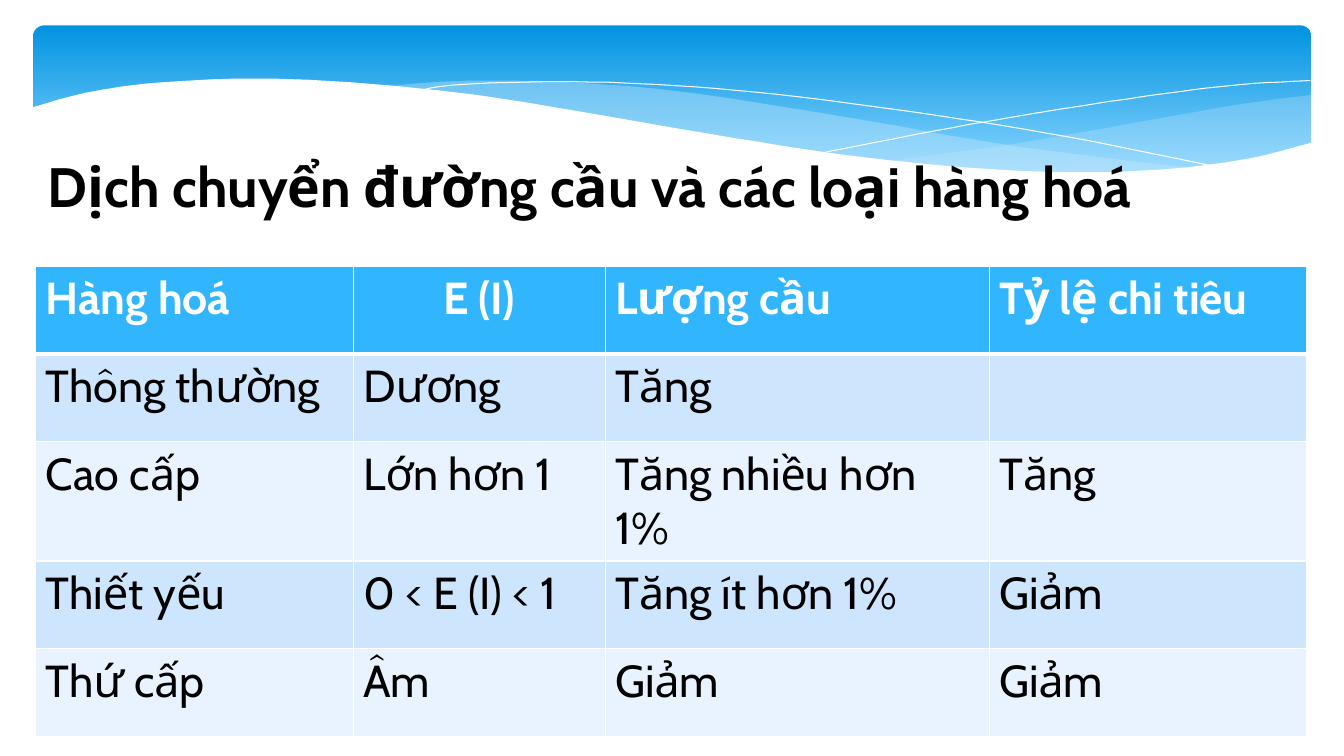
from dataclasses import dataclass

from lxml import etree
from pptx import Presentation
from pptx.dml.color import RGBColor
from pptx.enum.shapes import MSO_SHAPE
from pptx.enum.text import MSO_ANCHOR, MSO_AUTO_SIZE, PP_ALIGN
from pptx.oxml.ns import qn
from pptx.util import Cm, Pt

CENTER, LEFT, TOP = PP_ALIGN.CENTER, PP_ALIGN.LEFT, MSO_ANCHOR.TOP
NO_AUTOFIT = MSO_AUTO_SIZE.NONE
ROUNDED = MSO_SHAPE.ROUNDED_RECTANGLE
FONT = "Cabin"
WHITE, BLACK = "FFFFFF", "000000"
HEADER_FILL = "31B6FD"
BAND_FILLS = ("E8F3FF", "CEE5FE")
STEPS = 6

Point = tuple[float, float]


@dataclass(frozen=True)
class Wave:
    """Smooth edges in cm, joined by straight lines; a wave without fill is a line."""
    edges: tuple[tuple[Point, ...], ...]
    fill: str | None = None
    opacity: int = 100


WAVES = (
    Wave((((33.05, 2.39), (31.17, 2.64), (29.13, 3), (25.53, 3.63), (22.4, 4.06)),
          ((22.4, 4.06), (24.33, 4.24), (26.44, 4.37), (28.6, 4.34), (30.66, 4.14),
           (32.16, 3.86), (33.05, 3.61))), "C6E7FC", 29),
    Wave((((9.7, 2.18), (11.1, 2.06), (12.85, 2.03), (14.96, 2.11), (17.42, 2.34),
           (21.31, 2.95), (25.12, 3.61), (28.35, 4.04), (30.23, 4.24)),
          ((30.23, 4.24), (28.73, 4.37), (26.95, 4.39), (24.92, 4.29), (22.53, 4.09),
           (19.18, 3.63), (15.21, 2.95), (12.27, 2.46), (9.7, 2.18))), "C6E7FC", 40),
    Wave((((10.46, 2.29), (11.63, 2.13), (14.1, 2.06), (16.56, 2.13), (19.69, 2.39),
           (23.55, 2.9), (26.92, 3.45), (30.73, 4.22)),)),
    Wave((((20.78, 3.84), (23.55, 3.3), (26.29, 2.82), (29.34, 2.36), (31.29, 2.13),
           (33.02, 2.03)),)),
    Wave((((33.1, 3.58), (31.5, 3.99), (29.64, 4.24), (27.38, 4.34), (24.61, 4.24),
           (21.18, 3.89), (17.93, 3.38), (15.14, 2.9), (12.34, 2.44), (9.91, 2.16),
           (7.77, 2.01), (5.97, 1.98), (4.01, 2.08), (2.57, 2.26), (1.55, 2.49),
           (0.79, 2.72)),
          ((0.79, 5.69), (33.1, 5.69))), WHITE),
)

GOODS = (
    ("Hàng hoá", "E (I)", "Lượng cầu", "Tỷ lệ chi tiêu"),
    ("Thông thường", "Dương", "Tăng", ""),
    ("Cao cấp", "Lớn hơn 1", "Tăng nhiều hơn 1%", "Tăng"),
    ("Thiết yếu", "0 < E (I) < 1", "Tăng ít hơn 1%", "Giảm"),
    ("Thứ cấp", "Âm", "Giảm", "Giảm"),
)
COLUMN_WIDTHS = (8, 6.35, 9.68, 8)
ROW_HEIGHT = 2.21


def color(hex_code: str) -> RGBColor:
    return RGBColor.from_string(hex_code)


def format_text(paragraph, size: float, hex_code: str, bold: bool, align) -> None:
    paragraph.alignment = align
    for run in paragraph.runs:
        run.font.name, run.font.size, run.font.bold = FONT, Pt(size), bold
        run.font.color.rgb = color(hex_code)


def smooth(points: tuple[Point, ...]) -> list[Point]:
    """Sample a Catmull-Rom curve through the points."""
    padded = (points[0], *points, points[-1])
    curve = [points[0]]
    for a, b, c, d in zip(padded, padded[1:], padded[2:], padded[3:]):
        for step in range(1, STEPS + 1):
            t = step / STEPS
            x, y = (
                (2 * q + (r - p) * t + (2 * p - 5 * q + 4 * r - s) * t ** 2
                 + (3 * q - p - 3 * r + s) * t ** 3) / 2
                for p, q, r, s in zip(a, b, c, d)
            )
            curve.append((x, y))
    return curve


def draw_wave(shapes, wave: Wave) -> None:
    outline = [(x * 100, y * 100) for edge in wave.edges for x, y in smooth(edge)]
    builder = shapes.build_freeform(*outline[0], scale=Cm(0.01))
    builder.add_line_segments(outline[1:], close=wave.fill is not None)
    shape = builder.convert_to_shape()
    shape.shadow.inherit = False
    if wave.fill is None:
        shape.fill.background()
        shape.line.color.rgb = color(WHITE)
        shape.line.width = Pt(0)
        return
    shape.line.fill.background()
    shape.fill.solid()
    shape.fill.fore_color.rgb = color(wave.fill)
    if wave.opacity < 100:
        tint = shape.fill._xPr.find(f"{qn('a:solidFill')}/{qn('a:srgbClr')}")
        etree.SubElement(tint, qn("a:alpha"), val=str(wave.opacity * 1000))


def draw_banner(shapes) -> None:
    banner = shapes.add_shape(ROUNDED, Cm(0.84), Cm(0.64), Cm(32.21), Cm(3.96))
    banner.adjustments[0] = 0.07
    banner.shadow.inherit = False
    banner.line.fill.background()
    banner.fill.gradient()
    banner.fill.gradient_angle = 270
    stops = ((0, "0293E0"), (0.9, "83D3FE"))
    for stop, (position, hex_code) in zip(banner.fill.gradient_stops, stops):
        stop.position = position
        stop.color.rgb = color(hex_code)
    for wave in WAVES:
        draw_wave(shapes, wave)


def write_title(shapes) -> None:
    title = shapes.title
    title.left, title.top, title.width, title.height = (
        Cm(0.94), Cm(3.71), Cm(27.84), Cm(3.48))
    frame = title.text_frame
    frame.text = "Dịch chuyển đường cầu và các loại hàng hoá"
    frame.word_wrap = True
    frame.auto_size = NO_AUTOFIT
    frame.vertical_anchor = TOP
    format_text(frame.paragraphs[0], 39.6, BLACK, True, CENTER)
    # The title has to lie above the white wave.
    shapes._spTree.append(title._element)


def add_borders(cell, row: int) -> None:
    """White cell borders, thicker between header and body."""
    widths = {"L": 1, "R": 1, "T": 3 if row == 1 else 1, "B": 3 if row == 0 else 1}
    properties = cell._tc.get_or_add_tcPr()
    for side, width in widths.items():
        border = etree.SubElement(properties, qn(f"a:ln{side}"), w=str(Pt(width)))
        fill = etree.SubElement(border, qn("a:solidFill"))
        etree.SubElement(fill, qn("a:srgbClr"), val=WHITE)


def draw_goods_table(shapes) -> None:
    table = shapes.add_table(
        len(GOODS), len(COLUMN_WIDTHS), Cm(0.9), Cm(6.71),
        Cm(sum(COLUMN_WIDTHS)), Cm(ROW_HEIGHT * len(GOODS))).table
    for column, width in zip(table.columns, COLUMN_WIDTHS):
        column.width = Cm(width)
    for row, texts in enumerate(GOODS):
        table.rows[row].height = Cm(ROW_HEIGHT)
        header = row == 0
        for column, text in enumerate(texts):
            cell = table.cell(row, column)
            add_borders(cell, row)
            cell.fill.solid()
            cell.fill.fore_color.rgb = color(HEADER_FILL if header else BAND_FILLS[row % 2])
            cell.text_frame.text = text
            align = CENTER if header and column == 1 else LEFT
            format_text(cell.text_frame.paragraphs[0], 32,
                        WHITE if header else BLACK, header, align)


def main() -> None:
    presentation = Presentation()
    presentation.slide_width, presentation.slide_height = Cm(33.87), Cm(19.05)
    slide = presentation.slides.add_slide(presentation.slide_layouts[5])
    draw_banner(slide.shapes)
    write_title(slide.shapes)
    draw_goods_table(slide.shapes)
    presentation.save("out.pptx")


if __name__ == "__main__":
    main()
